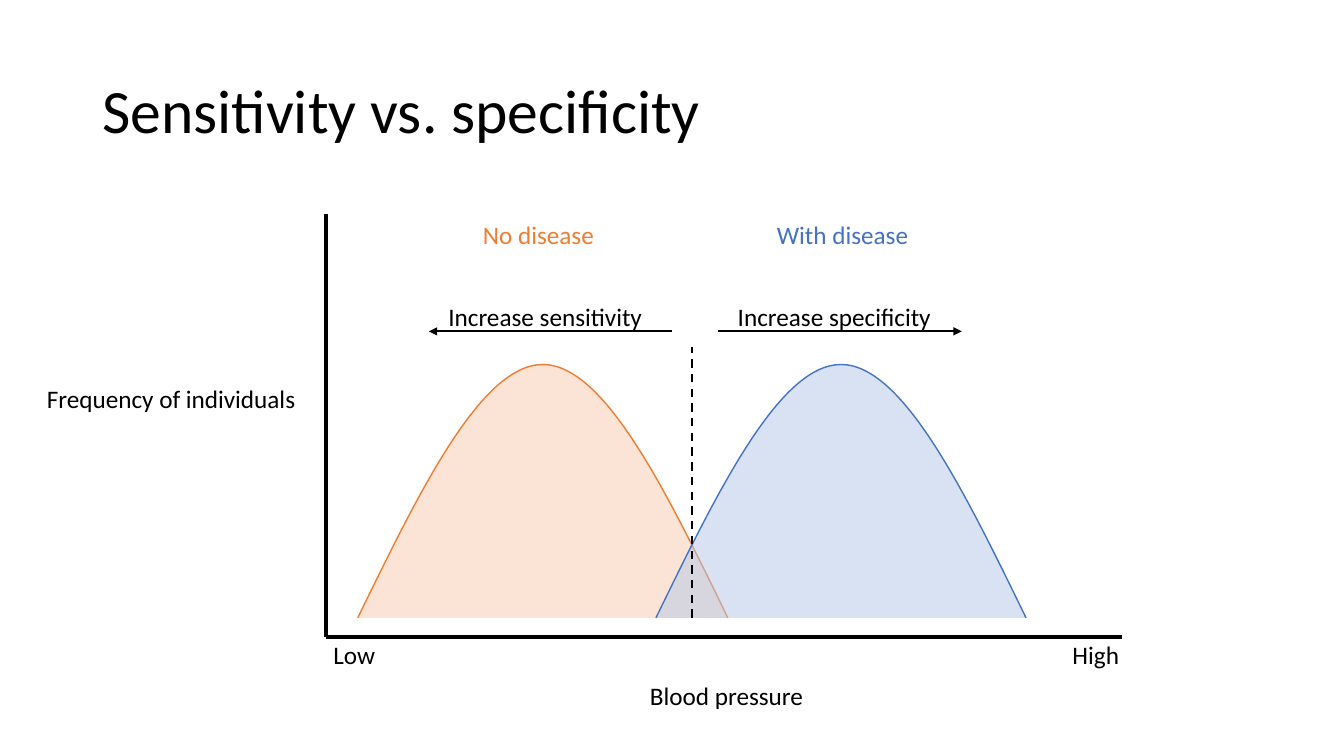
"""Build the slide on sensitivity and specificity."""
from dataclasses import dataclass

from lxml.etree import SubElement
from pptx import Presentation
from pptx.dml.color import RGBColor
from pptx.enum.dml import MSO_LINE
from pptx.enum.shapes import MSO_CONNECTOR
from pptx.enum.text import MSO_ANCHOR, MSO_AUTO_SIZE, PP_ALIGN
from pptx.oxml.ns import qn
from pptx.util import Inches, Pt

COLUMNS, ROWS = 32, 18
CELL = Inches(7.5) / ROWS


@dataclass(frozen=True)
class Theme:
    """Hold the colours, font and sizes of the slide."""
    font: str = "Calibri"
    title_size: int = 44
    label_size: int = 18
    ink: str = "000000"
    healthy: str = "ED7D31"
    healthy_fill: str = "F8CBAD"
    diseased: str = "4472C4"
    diseased_fill: str = "B4C7E7"
    axis_width: float = 3
    guide_width: float = 1.5
    curve_width: float = 1
    opacity: int = 50


THEME = Theme()


def grid(*cells):
    """Turn counts of grid cells into lengths."""
    return [round(cell * CELL) for cell in cells]


def apply(target, formats):
    """Set each format value on the target."""
    for attribute, value in formats.items():
        setattr(target, attribute, value)


def write(frame, wording, size, colour):
    """Put one formatted paragraph into a text frame."""
    paragraph = frame.paragraphs[0]
    paragraph.alignment = PP_ALIGN.LEFT
    run = paragraph.add_run()
    run.text = wording
    apply(run.font, {"name": THEME.font, "size": Pt(size)})
    run.font.color.rgb = RGBColor.from_string(colour)


def add_title(slide, wording):
    """Fill the title placeholder."""
    title = slide.shapes.title
    left, top, width, height = grid(2.2, 0.96, 27.6, 3.48)
    apply(title, {"left": left, "top": top, "width": width, "height": height})
    apply(title.text_frame, {"vertical_anchor": MSO_ANCHOR.MIDDLE,
                             "auto_size": MSO_AUTO_SIZE.NONE, "word_wrap": True})
    write(title.text_frame, wording, THEME.title_size, THEME.ink)
    title.text_frame.paragraphs[0].line_spacing = 0.9


def add_label(slide, wording, left, top, width, colour=THEME.ink):
    """Add a one-line label."""
    frame = slide.shapes.add_textbox(*grid(left, top, width, 0.97)).text_frame
    apply(frame, {"word_wrap": False, "auto_size": MSO_AUTO_SIZE.SHAPE_TO_FIT_TEXT})
    write(frame, wording, THEME.label_size, colour)


def add_rule(slide, start, end, width, dash=None, arrow=False):
    """Add a straight line, dashed or with an arrowhead on request."""
    rule = slide.shapes.add_connector(MSO_CONNECTOR.STRAIGHT, *grid(*start, *end))
    rule.line.color.rgb = RGBColor.from_string(THEME.ink)
    apply(rule.line, {"width": Pt(width), "dash_style": dash})
    properties = rule.element.spPr
    if arrow:
        SubElement(properties.find(qn("a:ln")), qn("a:tailEnd"), type="triangle")
    SubElement(properties, qn("a:effectLst"))


def round_corners(outline):
    """Turn each three line segments of an outline into one Bezier curve."""
    segments = list(outline.iter(qn("a:lnTo")))
    for first in range(0, len(segments), 3):
        trio = segments[first:first + 3]
        curve = SubElement(trio[0].getparent(), qn("a:cubicBezTo"))
        for segment in trio:
            curve.append(segment[0])
            segment.getparent().remove(segment)


def add_bell(slide, left, fill, outline):
    """Add a translucent bell curve that is open at its base."""
    base, width, height = 14.71, 8.81, 6.03
    rises = (0, 0.5, 1, 1, 1, 0.5, 0)
    points = [grid(left + width * step / 6, base - height * rise)
              for step, rise in enumerate(rises)]
    builder = slide.shapes.build_freeform(*points[0])
    builder.add_line_segments(points[1:], close=False)
    bell = builder.convert_to_shape()
    round_corners(bell.element.spPr)
    bell.shadow.inherit = False
    bell.fill.solid()
    bell.fill.fore_color.rgb = RGBColor.from_string(fill)
    tint = bell.element.spPr.find(qn("a:solidFill")).find(qn("a:srgbClr"))
    SubElement(tint, qn("a:alpha"), val=str(THEME.opacity * 1000))
    bell.line.color.rgb = RGBColor.from_string(outline)
    bell.line.width = Pt(THEME.curve_width)


def main():
    """Build and save the slide."""
    deck = Presentation()
    apply(deck, {"slide_width": round(COLUMNS * CELL),
                 "slide_height": round(ROWS * CELL)})
    slide = deck.slides.add_slide(deck.slide_layouts[5])
    add_title(slide, "Sensitivity vs. specificity")

    origin = (7.76, 15.17)
    add_rule(slide, (7.76, 5.1), origin, THEME.axis_width)
    add_rule(slide, origin, (26.71, 15.17), THEME.axis_width)
    add_label(slide, "Blood pressure", 15.24, 16.08, 4.18)
    add_label(slide, "Frequency of individuals", 0.88, 9, 6.48)

    add_bell(slide, 8.52, THEME.healthy_fill, THEME.healthy)
    add_bell(slide, 15.62, THEME.diseased_fill, THEME.diseased)
    add_label(slide, "No disease", 11.26, 5.11, 3.17, THEME.healthy)
    add_label(slide, "High", 25.3, 15.1, 1.61)
    add_label(slide, "Low", 7.7, 15.1, 1.49)
    add_label(slide, "With disease", 18.26, 5.11, 3.65, THEME.diseased)

    add_rule(slide, (16.48, 14.71), (16.48, 8.26), THEME.guide_width, MSO_LINE.DASH)
    for wording, left, start, end in (
            ("Increase sensitivity", 10.44, 16, 10.21),
            ("Increase specificity", 17.33, 17.1, 22.9)):
        add_rule(slide, (start, 7.89), (end, 7.89), THEME.guide_width, arrow=True)
        add_label(slide, wording, left, 7.06, 5.14)

    deck.save("out.pptx")


if __name__ == "__main__":
    main()
